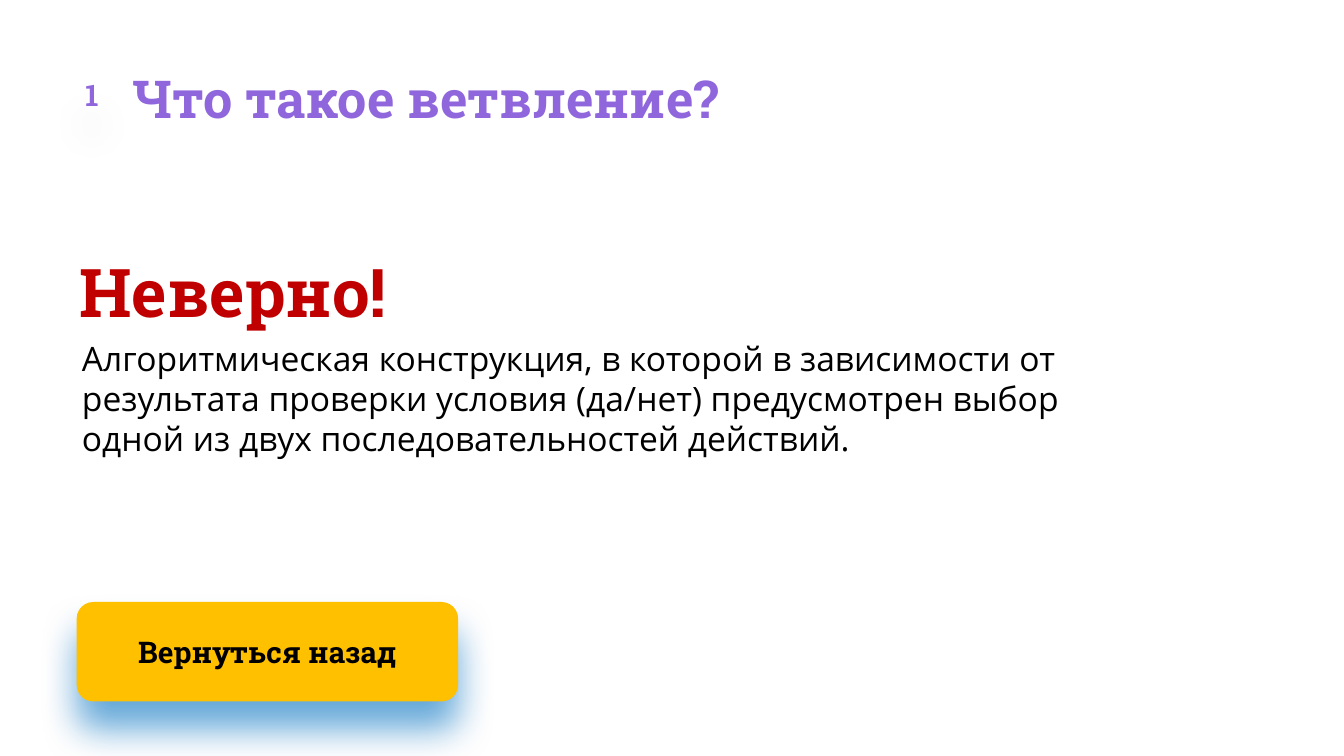
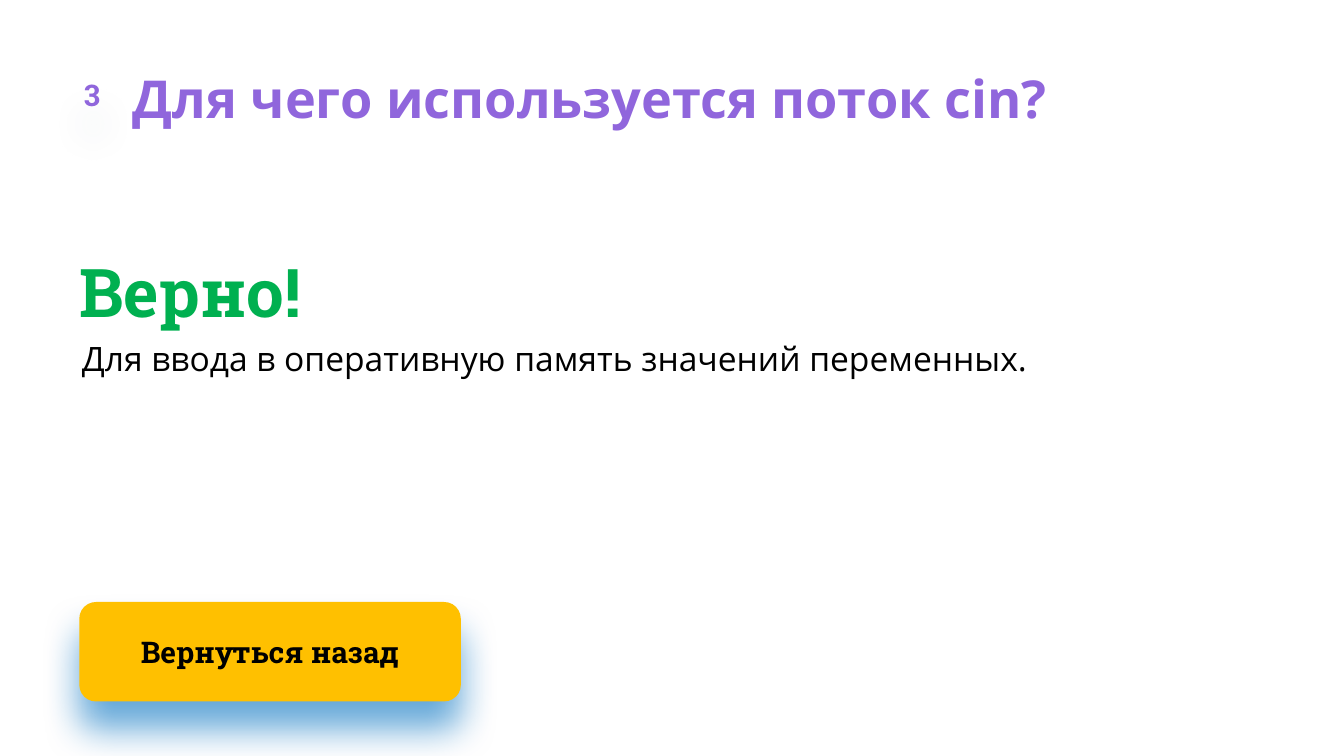
from lxml import etree
from pptx import Presentation
from pptx.dml.color import RGBColor
from pptx.enum import shapes, text
from pptx.oxml.ns import qn
from pptx.util import Cm, Pt

PURPLE = RGBColor(0x90, 0x66, 0xDC)
AMBER = RGBColor(0xFF, 0xC0, 0x00)
BLACK = RGBColor(0x00, 0x00, 0x00)
RED = RGBColor(0xC0, 0x00, 0x00)
GREEN = RGBColor(0x00, 0xB0, 0x50)
SHADOW_BLUE = RGBColor(0x00, 0x70, 0xC0)
SHADOW_GREY = RGBColor(0x44, 0x54, 0x6A)

SLAB = "Roboto Slab"
SANS = "Open Sans"
TITLE_ONLY = 5


class QuizDeck:
    """Holds the shared quiz style and the slide being built."""

    def __init__(self):
        self.presentation = Presentation()
        self.presentation.slide_width = Cm(25.4)
        self.presentation.slide_height = Cm(14.29)
        self.slide = None

    def new_slide(self):
        layout = self.presentation.slide_layouts[TITLE_ONLY]
        self.slide = self.presentation.slides.add_slide(layout)

    def set_text(self, shape, words, size, color, font=SLAB, bold=True,
                 align=text.PP_ALIGN.LEFT, anchor=text.MSO_ANCHOR.TOP,
                 margins=(0, 0, 0, 0), spacing=None):
        frame = shape.text_frame
        frame.word_wrap = True
        frame.auto_size = text.MSO_AUTO_SIZE.NONE
        frame.vertical_anchor = anchor
        (frame.margin_left, frame.margin_top,
         frame.margin_right, frame.margin_bottom) = map(Cm, margins)
        paragraph = frame.paragraphs[0]
        paragraph.alignment = align
        paragraph.line_spacing = spacing
        run = paragraph.add_run()
        run.text = words
        run.font.name = font
        run.font.size = Pt(size)
        run.font.bold = bold
        run.font.color.rgb = color

    def add_shadow(self, shape, color, opacity):
        """Cast a soft shadow straight down; opacity is in percent."""
        shape.shadow.inherit = False
        effects = shape._element.spPr.find(qn("a:effectLst"))
        shadow = etree.SubElement(
            effects, qn("a:outerShdw"), blurRad=str(Pt(20)), dist=str(Pt(15)),
            dir=str(90 * 60000), algn="t", rotWithShape="0")
        tint = etree.SubElement(shadow, qn("a:srgbClr"), val=str(color))
        etree.SubElement(tint, qn("a:alpha"), val=str(opacity * 1000))

    def add_text(self, left, top, width, height, words, size, color, **style):
        box = self.slide.shapes.add_textbox(
            Cm(left), Cm(top), Cm(width), Cm(height))
        self.set_text(box, words, size, color, **style)

    def add_rounded(self, left, top, width, height, words, color, fill=None,
                    margins=(0, 0, 0, 0)):
        shape = self.slide.shapes.add_shape(
            shapes.MSO_SHAPE.ROUNDED_RECTANGLE,
            Cm(left), Cm(top), Cm(width), Cm(height))
        if fill is None:
            shape.fill.background()
        else:
            shape.fill.solid()
            shape.fill.fore_color.rgb = fill
        shape.line.fill.background()
        self.set_text(shape, words, 16, color, align=text.PP_ALIGN.CENTER,
                      anchor=text.MSO_ANCHOR.MIDDLE, margins=margins)
        return shape

    def add_title(self, words, font):
        title = self.slide.shapes.title
        title.left, title.top = Cm(2.51), Cm(1.19)
        title.width, title.height = Cm(22.38), Cm(1.2)
        self.set_text(title, words, 28, PURPLE, font=font, spacing=1.06)

    def add_number(self, number):
        badge = self.add_rounded(0.99, 1.04, 1.5, 1.5, number, PURPLE)
        self.add_shadow(badge, SHADOW_GREY, 20)

    def add_verdict(self, words, color):
        self.add_text(1.5, 4.65, 7.11, 1.55, words, 36, color, spacing=1.06)

    def add_answer(self, words, height):
        self.add_text(1.19, 6.38, 20.55, height, words, 18, BLACK, font=SANS,
                      bold=False, margins=(0.36, 0, 0, 0))

    def add_back_button(self, left):
        button = self.add_rounded(left, 11.38, 7.21, 1.88, "Вернуться назад",
                                  BLACK, AMBER, (0.99, 0.51, 0.99, 0.51))
        self.add_shadow(button, SHADOW_BLUE, 60)


def main():
    deck = QuizDeck()

    deck.new_slide()
    deck.add_back_button(1.45)
    deck.add_verdict("Неверно!", RED)
    deck.add_answer(
        "Алгоритмическая конструкция, в которой в зависимости от результата "
        "проверки условия (да/нет) предусмотрен выбор одной из двух "
        "последовательностей действий.", 2.31)
    deck.add_title("Что такое ветвление?", SLAB)
    deck.add_number("1")

    deck.new_slide()
    deck.add_back_button(1.5)
    deck.add_verdict("Верно!", GREEN)
    deck.add_answer("Для ввода в оперативную память значений переменных.", 0.77)
    deck.add_title("Для чего используется поток cin?", SANS)
    deck.add_number("3")

    deck.presentation.save("out.pptx")


if __name__ == "__main__":
    main()
